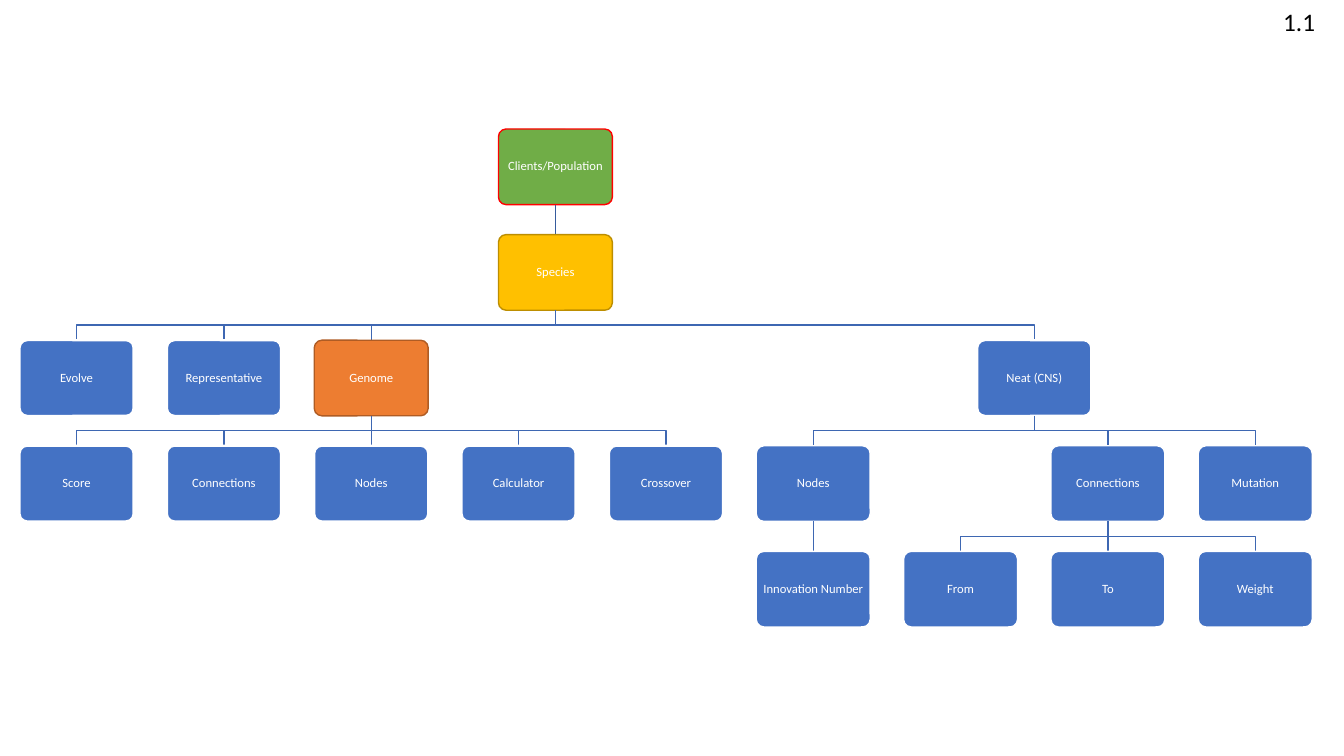
"""Builds a slide with the class hierarchy of a neuroevolution program."""
from lxml import etree
from pptx import Presentation
from pptx.dml.color import RGBColor
from pptx.enum.shapes import MSO_CONNECTOR, MSO_SHAPE
from pptx.enum.text import MSO_ANCHOR, PP_ALIGN
from pptx.oxml.ns import qn
from pptx.util import Inches, Pt

STRAIGHT = MSO_CONNECTOR.STRAIGHT
ROUNDED = MSO_SHAPE.ROUNDED_RECTANGLE
MIDDLE = MSO_ANCHOR.MIDDLE
CENTER = PP_ALIGN.CENTER

WHITE = RGBColor(0xFF, 0xFF, 0xFF)
BLACK = RGBColor(0x00, 0x00, 0x00)
BLUE = RGBColor(0x44, 0x72, 0xC4)
GREEN = RGBColor(0x70, 0xAD, 0x47)
RED = RGBColor(0xFF, 0x00, 0x00)
GOLD = RGBColor(0xFF, 0xC0, 0x00)
DARK_GOLD = RGBColor(0xBD, 0x8E, 0x00)
ORANGE = RGBColor(0xED, 0x7D, 0x31)
DARK_ORANGE = RGBColor(0xAF, 0x5C, 0x24)
LINK_TOP = RGBColor(0x36, 0x5B, 0x9D)
LINK = RGBColor(0x3E, 0x67, 0xB2)

FIRST_X, LAST_X = 0.76, 12.45
FIRST_Y, LAST_Y = 1.28, 5.47
COL_STEP = (LAST_X - FIRST_X) / 8
ROW_STEP = (LAST_Y - FIRST_Y) / 4
BOX_W, BOX_H = 1.13, 0.75

CLIENTS = (GREEN, RED, 1)
SPECIES = (GOLD, DARK_GOLD, 1)
GENOME = (ORANGE, DARK_ORANGE, 1)
WIDE = (BLUE, WHITE, 1.5)
THIN = (BLUE, WHITE, 1)

# label, column, row, parent column, style
NODES = [
    ("Clients/Population", 3.25, 0, None, CLIENTS),
    ("Species", 3.25, 1, 3.25, SPECIES),
    ("Evolve", 0, 2, 3.25, WIDE),
    ("Representative", 1, 2, 3.25, WIDE),
    ("Genome", 2, 2, 3.25, GENOME),
    ("Score", 0, 3, 2, WIDE),
    ("Connections", 1, 3, 2, WIDE),
    ("Nodes", 2, 3, 2, WIDE),
    ("Calculator", 3, 3, 2, WIDE),
    ("Crossover", 4, 3, 2, WIDE),
    ("Neat (CNS)", 6.5, 2, 3.25, WIDE),
    ("Nodes", 5, 3, 6.5, THIN),
    ("Innovation Number", 5, 4, 5, THIN),
    ("Connections", 7, 3, 6.5, THIN),
    ("From", 6, 4, 7, THIN),
    ("To", 7, 4, 7, THIN),
    ("Weight", 8, 4, 7, THIN),
    ("Mutation", 8, 3, 6.5, THIN),
]


def set_text(tf, text, size, color, spacing=1.0):
    tf.word_wrap = True
    p = tf.paragraphs[0]
    p.alignment = CENTER
    p.line_spacing = spacing
    r = p.add_run()
    r.text = text
    r.font.name = "Calibri"
    r.font.size = Pt(size)
    r.font.color.rgb = color


prs = Presentation()
prs.slide_width = Inches(13.33)
prs.slide_height = Inches(7.5)
s = prs.slides.add_slide(prs.slide_layouts[6])

for label, col, row, parent_col, (fill, border, border_width) in NODES:
    x = FIRST_X + col * COL_STEP
    y = FIRST_Y + row * ROW_STEP

    if parent_col is not None:
        parent_x = FIRST_X + parent_col * COL_STEP
        start_y = y - ROW_STEP + BOX_H
        bend_y = (start_y + y) / 2
        if parent_col == col:
            link = s.shapes.add_connector(
                STRAIGHT, Inches(x), Inches(start_y), Inches(x), Inches(y))
        else:
            corners = [(parent_x, bend_y), (x, bend_y), (x, y)]
            fb = s.shapes.build_freeform(Inches(parent_x), Inches(start_y))
            fb.add_line_segments(
                [(Inches(cx), Inches(cy)) for cx, cy in corners], close=False)
            link = fb.convert_to_shape()
            link.fill.background()
        link.line.color.rgb = LINK_TOP if row == 1 else LINK
        link.line.width = Pt(1)
        if parent_col == col:
            etree.SubElement(link._element.spPr, qn("a:effectLst"))
        else:
            link.shadow.inherit = False

    sp = s.shapes.add_shape(
        ROUNDED, Inches(x - BOX_W / 2), Inches(y), Inches(BOX_W), Inches(BOX_H))
    sp.adjustments[0] = 0.1
    sp.shadow.inherit = False
    sp.fill.solid()
    sp.fill.fore_color.rgb = fill
    sp.line.color.rgb = border
    sp.line.width = Pt(border_width)
    tf = sp.text_frame
    tf.vertical_anchor = MIDDLE
    tf.margin_left = tf.margin_right = Inches(0.04)
    tf.margin_top = tf.margin_bottom = Inches(0.04)
    set_text(tf, label, 9, WHITE, spacing=0.9)

number = s.shapes.add_textbox(Inches(12.44), Inches(0.01), Inches(0.89), Inches(0.4))
set_text(number.text_frame, "1.1", 18, BLACK)

prs.save("out.pptx")
